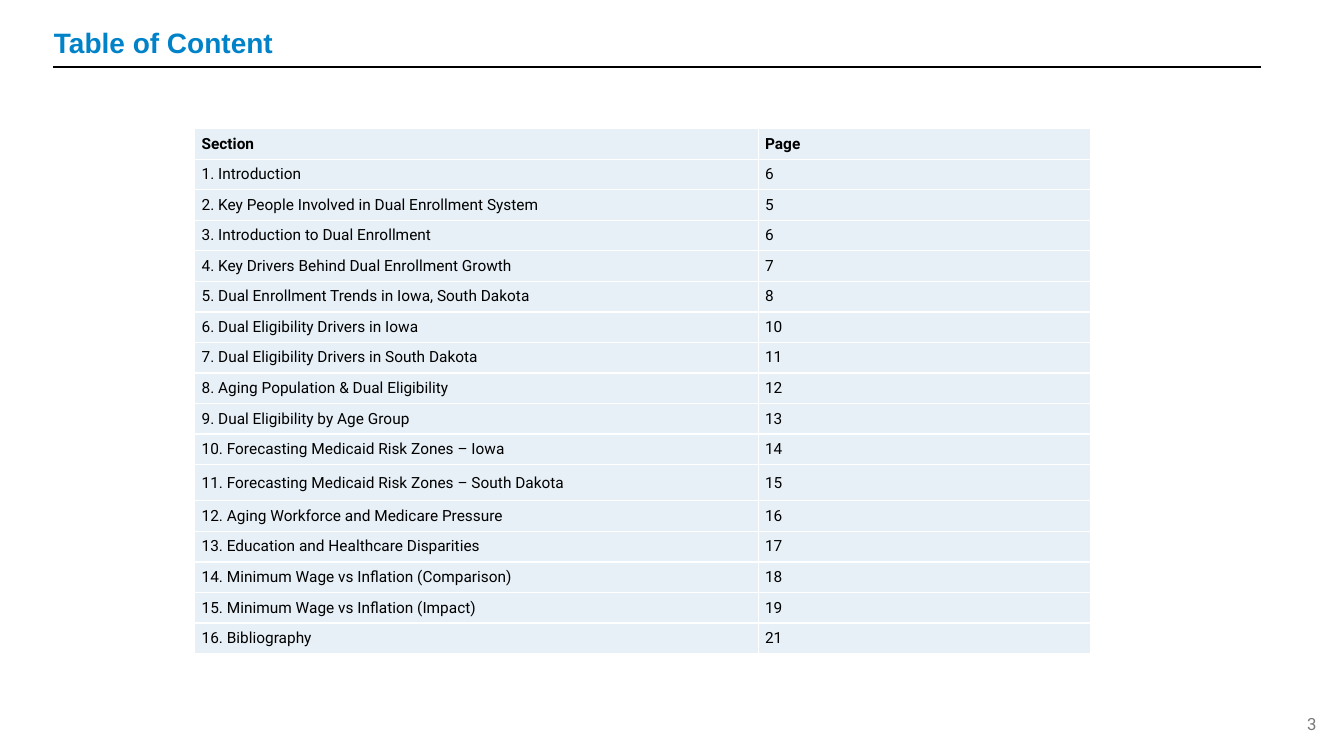
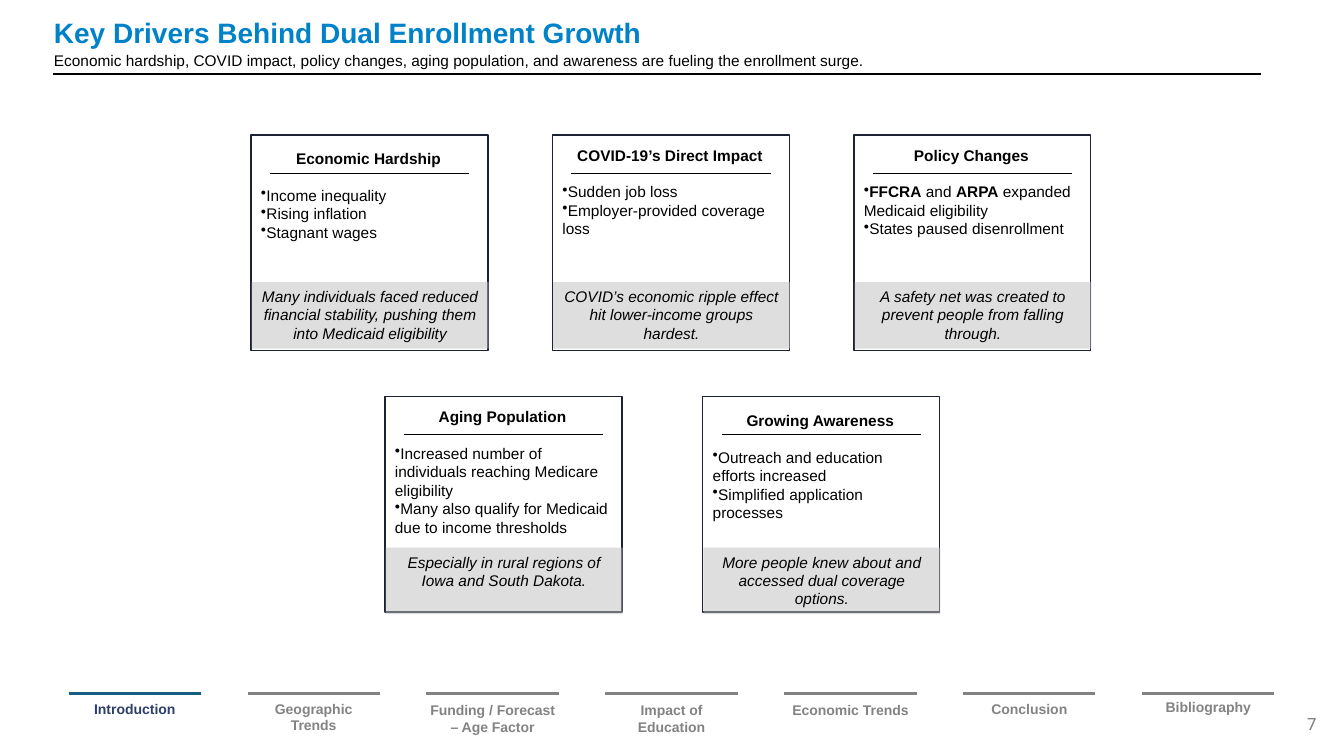
import dataclasses

import lxml.etree
import pptx
import pptx.dml.color
import pptx.enum.shapes
import pptx.enum.text
import pptx.oxml.ns
import pptx.util

Pt = pptx.util.Pt
qn = pptx.oxml.ns.qn
Align = pptx.enum.text.PP_ALIGN
Anchor = pptx.enum.text.MSO_ANCHOR


@dataclasses.dataclass(frozen=True)
class Theme:
    head: str = "Arial"
    data: str = "Roboto"
    blue: str = "0082C8"
    black: str = "000000"
    white: str = "FFFFFF"
    grey: str = "797979"
    cell: str = "E7F0F7"
    frame: str = "1C2231"
    band: str = "BFBFBF"
    live: str = "2C3F6A"
    bar: str = "156082"
    idle: str = "838383"
    title: int = 20
    body: int = 11
    tab: int = 10
    page: int = 12


T = Theme()

ROWS = [
    ("Section", "Page"),
    ("1. Introduction", "6"),
    ("2. Key People Involved in Dual Enrollment System", "5"),
    ("3. Introduction to Dual Enrollment", "6"),
    ("4. Key Drivers Behind Dual Enrollment Growth", "7"),
    ("5. Dual Enrollment Trends in Iowa, South Dakota", "8"),
    ("6. Dual Eligibility Drivers in Iowa", "10"),
    ("7. Dual Eligibility Drivers in South Dakota", "11"),
    ("8. Aging Population & Dual Eligibility", "12"),
    ("9. Dual Eligibility by Age Group", "13"),
    ("10. Forecasting Medicaid Risk Zones – Iowa", "14"),
    ("11. Forecasting Medicaid Risk Zones – South Dakota", "15"),
    ("12. Aging Workforce and Medicare Pressure", "16"),
    ("13. Education and Healthcare Disparities", "17"),
    ("14. Minimum Wage vs Inflation (Comparison)", "18"),
    ("15. Minimum Wage vs Inflation (Impact)", "19"),
    ("16. Bibliography", "21"),
]
TALL = 11  # index of the one higher row

LEAD = ("Economic hardship, COVID impact, policy changes, aging population, "
        "and awareness are fueling the enrollment surge.")

# Each card: heading, text offset, bullets as (text, bold) runs, closing line.
CARDS = [
    [
        ("Economic Hardship", 6.5,
         [[("Income inequality", False)], [("Rising inflation", False)],
          [("Stagnant wages", False)]],
         "Many individuals faced reduced financial stability, "
         "pushing them into Medicaid eligibility"),
        ("COVID-19’s Direct Impact", 4,
         [[("Sudden job loss", False)],
          [("Employer-provided coverage loss", False)]],
         "COVID’s economic ripple effect hit lower-income groups hardest."),
        ("Policy Changes", 4,
         [[("FFCRA", True), (" and ", False), ("ARPA", True),
           (" expanded Medicaid eligibility", False)],
          [("States paused disenrollment", False)]],
         "A safety net was created to prevent people from falling through."),
    ],
    [
        ("Aging Population", 4,
         [[("Increased number of individuals reaching Medicare eligibility",
            False)],
          [("Many also qualify for Medicaid due to income thresholds",
            False)]],
         "Especially in rural regions of Iowa and South Dakota."),
        ("Growing Awareness", 7,
         [[("Outreach and education efforts increased", False)],
          [("Simplified application processes", False)]],
         "More people knew about and accessed dual coverage options."),
    ],
]
# Each card row: left, top, pitch, offset of the closing band.
GRID = [(179.3, 96.5, 215.3, 105), (275, 283.2, 227, 108)]
CARD_W, CARD_H, BAND_H = 169.2, 154, 47.5

# Each tab: label, width, top.
TABS = [
    ("Introduction", 95, 500),
    ("Geographic Trends", 78, 500),
    ("Funding / Forecast – Age Factor", 95, 501),
    ("Impact of Education", 78, 501),
    ("Economic Trends", 95, 501),
    ("Conclusion", 95, 500),
    ("Bibliography", 95, 499),
]
TAB_X, TAB_Y, TAB_W, TAB_STEP = 49, 495.5, 94.5, 127.8


def rgb(code):
    return pptx.dml.color.RGBColor.from_string(code)


def write(para, text, size, color=T.black, face=T.head, bold=False,
          slant=False):
    run = para.add_run()
    run.text = text
    font = run.font
    font.size, font.name = Pt(size), face
    font.bold, font.italic = bold, slant
    font.color.rgb = rgb(color)


def fit(frame, pad=(0, 0), anchor=Anchor.TOP):
    """Set wrapping, insets (side, top) and anchor of a text frame."""
    frame.word_wrap = True
    frame.auto_size = pptx.enum.text.MSO_AUTO_SIZE.NONE
    frame.margin_left = frame.margin_right = Pt(pad[0])
    frame.margin_top = frame.margin_bottom = Pt(pad[1])
    frame.vertical_anchor = anchor
    return frame


def text(slide, x, y, w, h, **opts):
    box = slide.shapes.add_textbox(Pt(x), Pt(y), Pt(w), Pt(h))
    return fit(box.text_frame, **opts)


def line(slide, x, y, w, color, width):
    rule = slide.shapes.add_connector(
        pptx.enum.shapes.MSO_CONNECTOR.STRAIGHT,
        Pt(x), Pt(y), Pt(x + w), Pt(y))
    rule.line.color.rgb = rgb(color)
    rule.line.width = Pt(width)
    lxml.etree.SubElement(rule.element.spPr, qn("a:effectLst"))


def rect(slide, x, y, w, h):
    shape = slide.shapes.add_shape(
        pptx.enum.shapes.MSO_SHAPE.RECTANGLE, Pt(x), Pt(y), Pt(w), Pt(h))
    shape.shadow.inherit = False
    return shape


def start(deck, title, top, rule, page, lead=None):
    """Add a slide with its title, optional lead, rule and page number."""
    slide = deck.slides.add_slide(deck.slide_layouts[5])
    head = slide.shapes.title
    head.left, head.top, head.width, head.height = map(
        Pt, (38.5, top, 775, rule - top))
    frame = fit(head.text_frame)
    para = frame.paragraphs[0]
    para.alignment = Align.LEFT
    write(para, title, T.title, T.blue, bold=True)
    if lead:
        para = frame.add_paragraph()
        para.alignment = Align.LEFT
        para.space_before = Pt(1.2)
        write(para, lead, T.body)
    line(slide, 38, rule, 863, T.black, 1.5)
    foot = text(slide, 731.5, 502.5, 216, 29, pad=(7.2, 3.6),
                anchor=Anchor.MIDDLE).paragraphs[0]
    foot.alignment = Align.RIGHT
    write(foot, page, T.page, T.grey, T.data)
    return slide


def border(cell):
    props = cell._tc.get_or_add_tcPr()
    for place, side in enumerate(("a:lnL", "a:lnR", "a:lnT", "a:lnB")):
        edge = lxml.etree.Element(qn(side), w=str(Pt(1)))
        fill = lxml.etree.SubElement(edge, qn("a:solidFill"))
        lxml.etree.SubElement(fill, qn("a:srgbClr"), val=T.white)
        props.insert(place, edge)


def index(slide):
    """Add the table of sections and pages."""
    table = slide.shapes.add_table(
        len(ROWS), 2, Pt(139), Pt(92), Pt(640), Pt(374.8)).table
    table.first_row = table.horz_banding = False
    for col, width in zip(table.columns, (402.5, 237.5)):
        col.width = Pt(width)
    for r, row in enumerate(ROWS):
        table.rows[r].height = Pt(26 if r == TALL else 21.8)
        for c, entry in enumerate(row):
            cell = table.cell(r, c)
            cell.margin_left = cell.margin_right = Pt(5)
            cell.margin_top = cell.margin_bottom = Pt(2)
            cell.vertical_anchor = Anchor.MIDDLE
            cell.fill.solid()
            cell.fill.fore_color.rgb = rgb(T.cell)
            border(cell)
            write(cell.text_frame.paragraphs[0], entry, T.body,
                  face=T.data, bold=r == 0)


def card(slide, x, y, drop, item):
    head, shift, points, close = item
    box = rect(slide, x, y, CARD_W, CARD_H)
    box.fill.background()
    box.line.color.rgb = rgb(T.frame)
    box.line.width = Pt(1)
    line(slide, x + 13.5, y + 27.5, 142.5, T.black, 0.75)

    frame = text(slide, x, y + shift, 168, 100, pad=(7.2, 3.6))
    para = frame.paragraphs[0]
    para.alignment = Align.CENTER
    write(para, head, T.body, bold=True)
    for n, runs in enumerate(points):
        para = frame.add_paragraph()
        props = para._p.get_or_add_pPr()
        lxml.etree.SubElement(props, qn("a:buChar"), char="•")
        if n == 0:
            para.space_before = Pt(13)
        for words, bold in runs:
            write(para, words, T.body, bold=bold)

    band = rect(slide, x + 0.5, y + drop, CARD_W, BAND_H)
    band.fill.solid()
    band.fill.fore_color.rgb = rgb(T.band)
    tint = band.element.spPr.find(".//" + qn("a:srgbClr"))
    lxml.etree.SubElement(tint, qn("a:alpha"), val="50000")
    band.line.fill.background()
    para = fit(band.text_frame, pad=(6.5, 3.6)).paragraphs[0]
    para.alignment = Align.CENTER
    write(para, close, T.body, slant=True)


def tabs(slide, live):
    """Add the section bar, with the tab numbered live highlighted."""
    for n, (label, width, top) in enumerate(TABS):
        x = TAB_X + n * TAB_STEP
        line(slide, x, TAB_Y, TAB_W, T.bar if n == live else T.idle, 2)
        para = text(slide, x + (TAB_W - width) / 2, top, width,
                    26).paragraphs[0]
        para.alignment = Align.CENTER
        write(para, label, T.tab, T.live if n == live else T.idle, bold=True)


def main():
    deck = pptx.Presentation()
    deck.slide_width, deck.slide_height = Pt(960), Pt(540)

    index(start(deck, "Table of Content", 18.5, 47.75, "3"))

    slide = start(deck, "Key Drivers Behind Dual Enrollment Growth",
                  11, 52.75, "7", LEAD)
    for (left, top, step, drop), row in zip(GRID, CARDS):
        for n, item in enumerate(row):
            card(slide, left + n * step, top, drop, item)
    tabs(slide, 0)

    deck.save("out.pptx")


if __name__ == "__main__":
    main()
